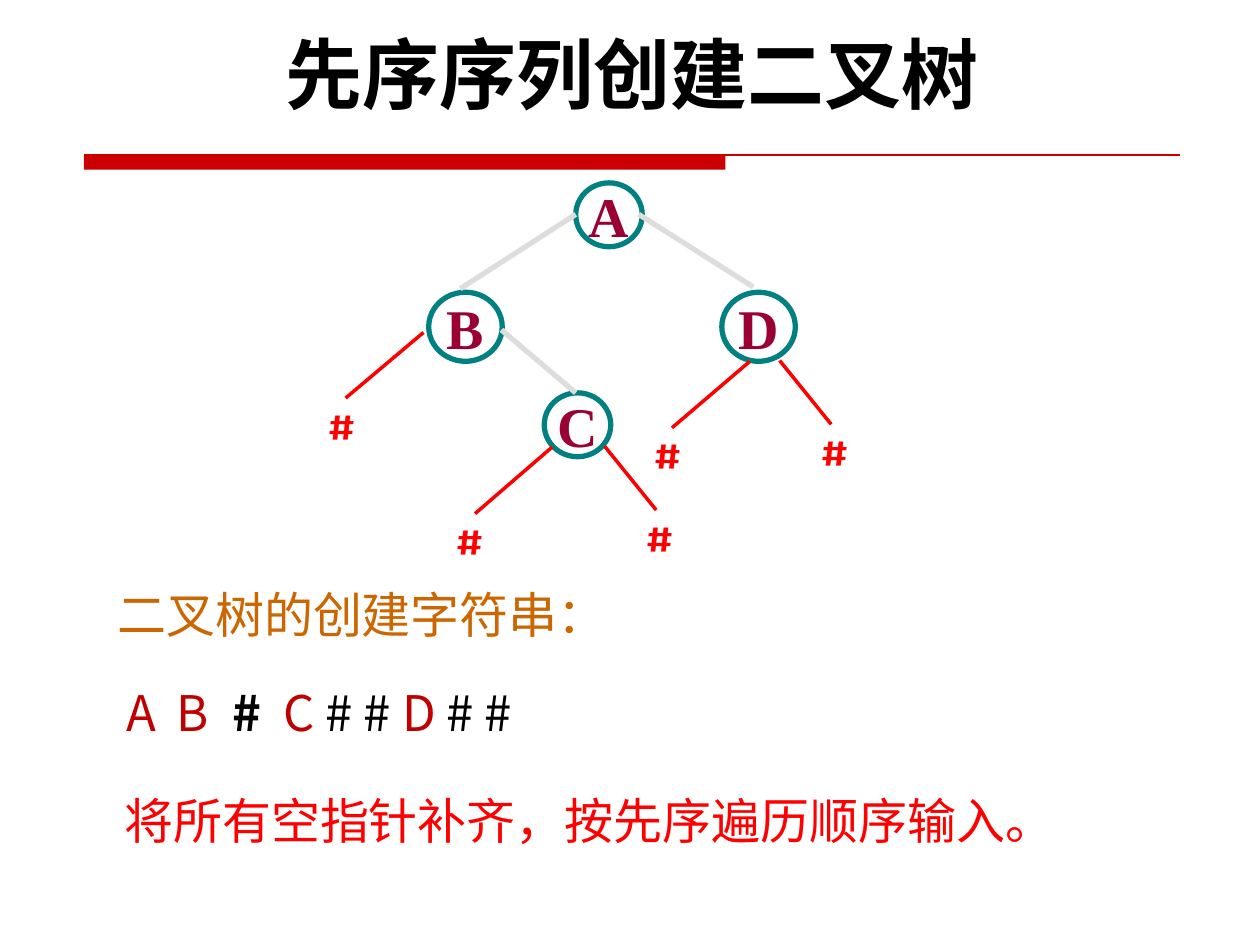
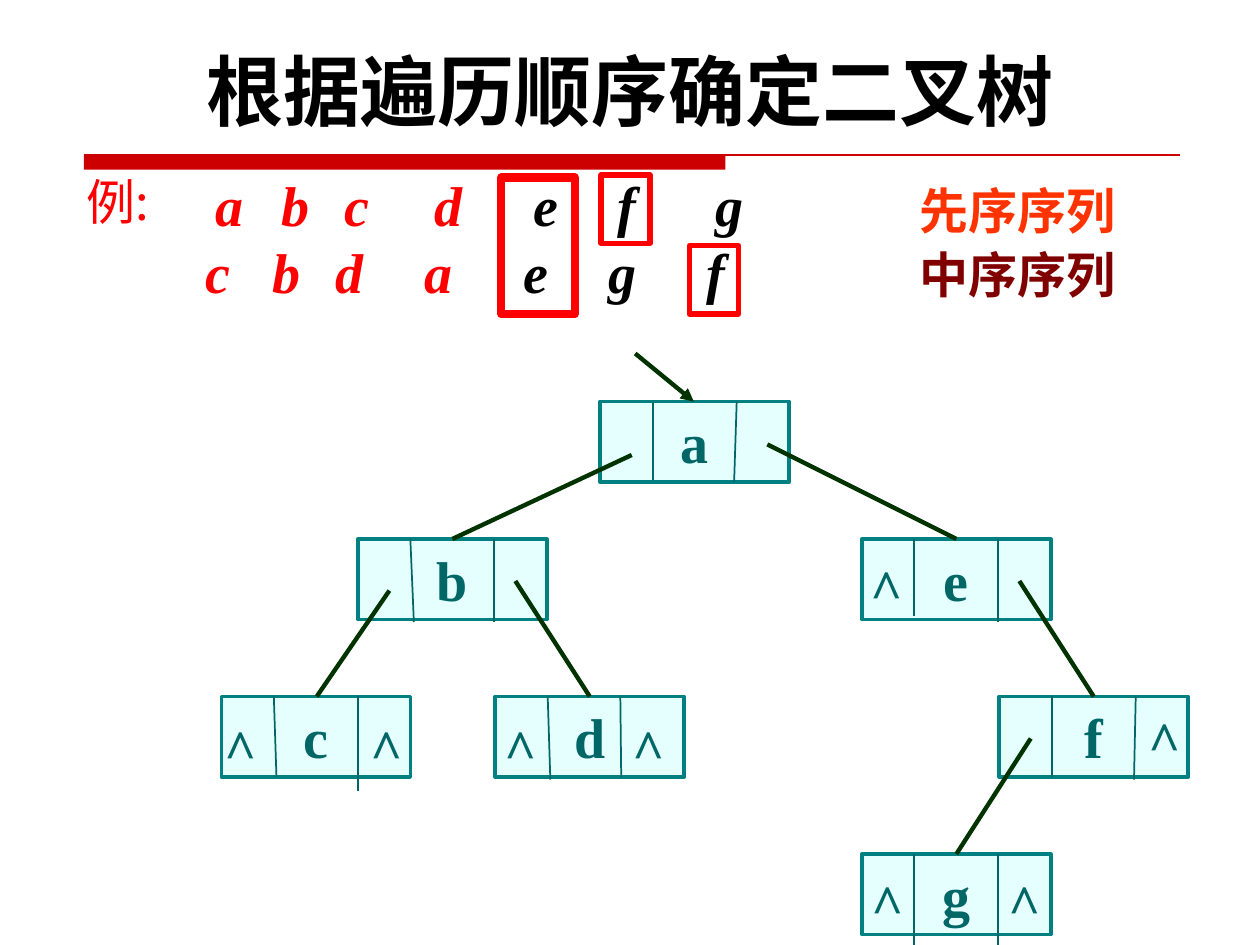
"""Build two slides on making binary trees from traversal orders."""
from dataclasses import dataclass

import pptx
import pptx.dml.color
import pptx.enum.shapes
import pptx.enum.text
import pptx.oxml.ns
import pptx.oxml.xmlchemy
import pptx.util

Pt = pptx.util.Pt
SHAPE = pptx.enum.shapes.MSO_SHAPE
ALIGN = pptx.enum.text.PP_ALIGN
ANCHOR = pptx.enum.text.MSO_ANCHOR
qn = pptx.oxml.ns.qn


@dataclass(frozen=True)
class Theme:
    """Colours, faces and type sizes."""
    black: str = "000000"
    white: str = "FFFFFF"
    red: str = "FF0000"
    rule: str = "CC0000"
    crimson: str = "C00000"
    amber: str = "CC6600"
    orange: str = "FF3300"
    maroon: str = "800000"
    plum: str = "990033"
    teal: str = "008080"
    deep: str = "006666"
    pine: str = "003300"
    pale: str = "CCFFFF"
    grey: str = "DDDDDD"
    serif: str = "Times New Roman"
    sans: str = "Karla"
    han: str = "Noto Sans CJK SC"
    head: int = 44
    key: int = 32
    body: int = 28
    mark: int = 24


T = Theme()


def rgb(ink):
    """Turn a hex string into a colour."""
    return pptx.dml.color.RGBColor.from_string(ink)


def child(parent, tag, **attrs):
    """Append a drawing element with its attributes."""
    node = pptx.oxml.xmlchemy.OxmlElement(tag)
    for name, value in attrs.items():
        node.set(name, value)
    parent.append(node)
    return node


def write(frame, text, ink=T.black, size=T.body, face=T.han, bold=False,
          slant=False, align=ALIGN.LEFT, lead=None, join=False):
    """Add text to a frame, in a new paragraph unless it joins the last."""
    para = frame.paragraphs[-1]
    if para.runs and not join:
        para = frame.add_paragraph()
    para.alignment = align
    if lead:
        para.line_spacing = lead
    run = para.add_run()
    run.text = text
    font = run.font
    font.name, font.size, font.bold, font.italic = face, Pt(size), bold, slant
    font.color.rgb = rgb(ink)
    child(run._r.get_or_add_rPr(), "a:ea", typeface=T.han)


def label(slide, text, x, y, wide, high, **style):
    """Add a text box and return its frame."""
    box = slide.shapes.add_textbox(Pt(x), Pt(y), Pt(wide), Pt(high))
    box.text_frame.word_wrap = True
    write(box.text_frame, text, **style)
    return box.text_frame


def form(slide, kind, x, y, wide, high, fill=None, edge=None, weight=1):
    """Add a preset shape with a plain fill and edge."""
    shape = slide.shapes.add_shape(kind, Pt(x), Pt(y), Pt(wide), Pt(high))
    shape.shadow.inherit = False
    if fill:
        shape.fill.solid()
        shape.fill.fore_color.rgb = rgb(fill)
    else:
        shape.fill.background()
    if edge:
        shape.line.color.rgb = rgb(edge)
        shape.line.width = Pt(weight)
    else:
        shape.line.fill.background()
    return shape


def link(slide, x1, y1, x2, y2, ink, weight, arrow=False):
    """Draw a straight line, with an arrowhead at its end if asked."""
    line = slide.shapes.add_connector(
        pptx.enum.shapes.MSO_CONNECTOR.STRAIGHT, Pt(x1), Pt(y1), Pt(x2), Pt(y2))
    line.line.color.rgb = rgb(ink)
    line.line.width = Pt(weight)
    props = line._element.spPr
    if arrow:
        child(props.find(qn("a:ln")), "a:tailEnd", type="triangle")
    child(props, "a:effectLst")


def page(deck, title, x, y, wide, high):
    """Add a slide with its title and the red rule below."""
    slide = deck.slides.add_slide(deck.slide_layouts[5])
    head = slide.shapes.title
    head.left, head.top, head.width, head.height = map(Pt, (x, y, wide, high))
    frame = head.text_frame
    frame.auto_size = pptx.enum.text.MSO_AUTO_SIZE.NONE
    frame.vertical_anchor = ANCHOR.TOP
    write(frame, title, size=T.head, face=T.sans, bold=True, align=ALIGN.CENTER)
    form(slide, SHAPE.RECTANGLE, 48, 88.5, 366.5, 8.5, fill=T.rule)
    link(slide, 48, 88.5, 674.5, 88.5, T.rule, 0.75)
    return slide


def disc(slide, name, x, y, wide, high):
    """Draw a round tree node."""
    shape = form(slide, SHAPE.OVAL, x, y, wide, high, T.white, T.teal, 3)
    frame = shape.text_frame
    frame.word_wrap = False
    frame.vertical_anchor = ANCHOR.MIDDLE
    write(frame, name, ink=T.plum, size=T.key, face=T.serif, bold=True,
          align=ALIGN.CENTER)


def cell(slide, name, x, y, bars):
    """Draw a linked node, its bars given as top, foot and depth."""
    shape = form(slide, SHAPE.RECTANGLE, x, y, 108, 46, T.pale, T.teal, 2)
    tint = shape._element.spPr.find(qn("a:solidFill"))[0]
    child(tint, "a:alpha", val="50000")
    shape.text_frame.vertical_anchor = ANCHOR.TOP
    write(shape.text_frame, name, ink=T.deep, size=T.key, face=T.serif,
          bold=True, align=ALIGN.CENTER)
    for top, foot, depth in bars:
        link(slide, x + top, y, x + foot, y + depth, T.deep, 1)


def create(deck):
    """Build the slide on creating a tree from a string."""
    slide = page(deck, "先序序列创建二叉树", 86, 11.5, 551, 60.5)
    for name, x, y, wide, high in (
            ("A", 329, 104.5, 38, 36.5), ("B", 245, 167, 42, 39.5),
            ("C", 311, 224.5, 38, 36.5), ("D", 412.5, 167, 42, 39.5)):
        disc(slide, name, x, y, wide, high)
    for ends in ((329, 122.5, 263, 165), (365, 122.5, 430.5, 164),
                 (286.5, 188.5, 329, 224.5)):
        link(slide, *ends, T.grey, 3)
    for x1, y1, x2, y2, left in (
            (242, 190, 197.5, 227.5, 180), (315.5, 255.5, 271.5, 293.5, 253.5),
            (428.5, 206.5, 384, 244.5, 366.5), (445.5, 206, 475, 242.5, 462),
            (345.5, 255, 375, 291.5, 362)):
        link(slide, x1, y1, x2, y2, T.red, 2)
        label(slide, "#", left, y2 - 3, 45, 36.5, ink=T.red, size=T.mark,
              face=T.sans, bold=True)

    label(slide, "二叉树的创建字符串：", 60, 324, 618, 42.5, ink=T.amber, lead=1.2)
    row = 380
    label(slide, "A", 65, row, 37.5, 42.5, ink=T.crimson, lead=1.2)
    label(slide, "B", 93.5, row, 34, 42.5, ink=T.crimson, lead=1.2)
    label(slide, "#", 126, row, 35, 42.5, bold=True, lead=1.2)
    frame = label(slide, "C ", 155, row, 183, 42.5, ink=T.crimson, lead=1.2)
    for text, ink in (("# # ", T.black), ("D ", T.crimson), ("# #", T.black)):
        write(frame, text, ink=ink, lead=1.2, join=True)
    label(slide, "将所有空指针补齐，按先序遍历顺序输入。", 64, 448, 631, 41, ink=T.red)


def derive(deck):
    """Build the slide on finding a tree from two orders."""
    slide = page(deck, "根据遍历顺序确定二叉树", 45.5, 21, 630, 53.5)
    label(slide, "例:", 42.5, 94.5, 57, 41, ink=T.red)

    for name, x, y, *bars in (
            ("a", 343, 229.5, (30, 30, 45), (78, 76.5, 46)),
            ("b", 204.5, 308, (30, 32, 47.5), (78, 78, 47.5)),
            ("c", 126.5, 398, (30, 31.5, 46), (78, 78, 54)),
            ("d", 283, 398, (30, 31.5, 47.5), (71.5, 72, 46)),
            ("e", 492.5, 308, (30, 30, 44), (78, 78, 47.5)),
            ("f", 571, 398, (30, 30, 46), (78, 77, 47.5)),
            ("g", 492.5, 488, (30, 30, 52), (78, 78, 52))):
        cell(slide, name, x, y, bars)

    link(slide, 363, 202, 396.5, 229.5, T.pine, 2.5, arrow=True)
    for ends in ((361, 260, 258.5, 308), (438.5, 254, 546.5, 308),
                 (222.5, 337.5, 181, 398), (294.5, 332, 337, 398),
                 (582.5, 332, 625, 398), (589, 422, 546.5, 488)):
        link(slide, *ends, T.pine, 2.5)

    for x, y in ((121.5, 404), (204.5, 404), (281.5, 404), (354.5, 404),
                 (490.5, 312.5), (491, 492.5), (569, 492.5), (649.5, 399.5)):
        label(slide, "^", x, y, 36, 46, ink=T.deep, size=T.key, face=T.serif,
              bold=True)

    frame = label(slide, "先序序列", 518.5, 96, 160.5, 79, ink=T.orange,
                  face=T.serif, bold=True, lead=1.1)
    write(frame, "中序序列", ink=T.maroon, face=T.serif, bold=True, lead=1.1)

    steps = (0, 38, 74, 125, 181.5, 230, 286)
    for order, left, top in (("abcdefg", 116, 94), ("cbdaegf", 110.5, 132)):
        for name, step in zip(order, steps):
            label(slide, name, left + step, top, 38, 46,
                  ink=T.red if name in "abcd" else T.black,
                  size=T.key, face=T.serif, bold=True, slant=True)

    for x, y, wide, high, weight in (
            (286.5, 101.5, 42, 78, 4.75), (343.5, 100, 28, 39, 3),
            (394, 140.5, 28, 39, 3)):
        form(slide, SHAPE.RECTANGLE, x, y, wide, high, edge=T.red, weight=weight)


def main():
    """Make the deck and save it."""
    deck = pptx.Presentation()
    deck.slide_width, deck.slide_height = Pt(720), Pt(540)
    create(deck)
    derive(deck)
    deck.save("out.pptx")


if __name__ == "__main__":
    main()
